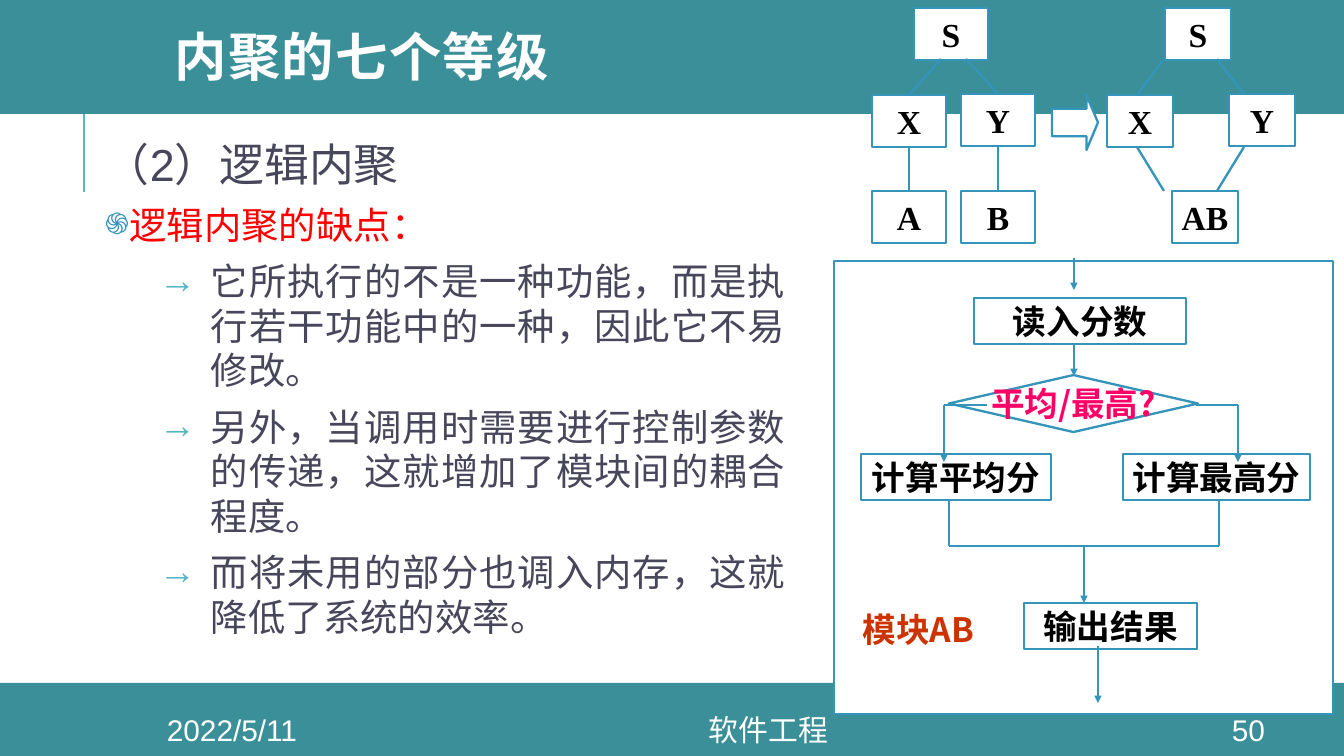
from lxml import etree
from pptx import Presentation
from pptx import util as u
from pptx.dml.color import RGBColor
from pptx.enum import shapes, text
from pptx.oxml.ns import qn

PX = 6804  # EMU per px, 1344 px across the slide
TEAL, BLUE, CYAN, WHITE, INK = "3A8F98", "3494BA", "58B6C0", "FFFFFF", "48465B"
SERIF, SANS, CJK = "Times New Roman", "Arial", "Noto Sans CJK SC"
CENTER, LEFT = text.PP_ALIGN.CENTER, text.PP_ALIGN.LEFT
KIND = shapes.MSO_SHAPE
rgb = RGBColor.from_string


def format_paragraph(paragraph, size, name, color, bold=False, align=CENTER):
    paragraph.alignment = align
    font = paragraph.font
    font.size, font.name, font.bold = u.Pt(size), name, bold
    font.color.rgb = rgb(color)
    if name == CJK:
        properties = paragraph._p.pPr.find(qn("a:defRPr"))
        etree.SubElement(properties, qn("a:ea"), typeface=name)


def add_box(kind, left, top, width, height, fill=WHITE, line=BLUE):
    shape = slide.shapes.add_shape(kind, left * PX, top * PX, width * PX, height * PX)
    shape.shadow.inherit = False
    shape.fill.solid()
    shape.fill.fore_color.rgb = rgb(fill)
    if line:
        shape.line.color.rgb = rgb(line)
        shape.line.width = u.Pt(1.25)
    else:
        shape.line.fill.background()
    return shape


presentation = Presentation()
presentation.slide_width, presentation.slide_height = 1344 * PX, 756 * PX
slide = presentation.slides.add_slide(presentation.slide_layouts[5])

# Header and footer bands, with the title above them
add_box(KIND.RECTANGLE, 0, 683, 1344, 73, TEAL, None)
add_box(KIND.RECTANGLE, 0, -4, 1344, 118, TEAL, None)
title = slide.shapes.title
slide.shapes._spTree.append(title._element)
title.left, title.top, title.width, title.height = 161 * PX, 0, 1141 * PX, 122 * PX
frame = title.text_frame
frame.text = "内聚的七个等级"
frame.auto_size = text.MSO_AUTO_SIZE.NONE
frame.vertical_anchor = text.MSO_ANCHOR.MIDDLE
paragraph = frame.paragraphs[0]
paragraph.line_spacing = 0.8
paragraph.runs[0]._r.get_or_add_rPr().set("spc", "80")
format_paragraph(paragraph, 28, "Montserrat", WHITE, True, LEFT)

# Body: text, size, colour, level, left margin, indent, bullet, bullet colour, bullet size
body = slide.shapes.add_textbox(98 * PX, 130 * PX, 694 * PX, 559 * PX)
frame = body.text_frame
frame.word_wrap = True
frame.margin_left = frame.margin_right = frame.margin_top = frame.margin_bottom = 7 * PX
points = [
    "它所执行的不是一种功能，而是执行若干功能中的一种，因此它不易修改。",
    "另外，当调用时需要进行控制参数的传递，这就增加了模块间的耦合程度。",
    "而将未用的部分也调入内存，这就降低了系统的效率。",
]
rows = [
    ("（2）逻辑内聚", 24, INK, 0, 0, 0, None, None, None),
    ("逻辑内聚的缺点：", 20, "FF0000", 0, 9, -63, "֍", BLUE, 80),
] + [(point, 20, INK, 1, 106, -52, "→", CYAN, 100) for point in points]
for index, (words, size, color, level, margin, indent, bullet, tint, percent) in enumerate(rows):
    paragraph = frame.add_paragraph() if index else frame.paragraphs[0]
    paragraph.text = words
    paragraph.level = level
    if index:
        paragraph.space_before = u.Pt(6)
    if bullet:
        properties = paragraph._p.get_or_add_pPr()
        properties.set("marL", str(margin * PX))
        properties.set("indent", str(indent * PX))
        bullet_color = etree.SubElement(properties, qn("a:buClr"))
        etree.SubElement(bullet_color, qn("a:srgbClr"), val=tint)
        etree.SubElement(properties, qn("a:buSzPct"), val=str(percent * 1000))
        etree.SubElement(properties, qn("a:buFont"), typeface=SANS)
        etree.SubElement(properties, qn("a:buChar"), char=bullet)
    format_paragraph(paragraph, size, SANS, color, align=text.PP_ALIGN.JUSTIFY)

# Footer
for words, left, width in [("2022/5/11", 113, 238), ("软件工程", 351, 835), ("50", 1195, 107)]:
    frame = slide.shapes.add_textbox(left * PX, 714 * PX, width * PX, 31 * PX).text_frame
    frame.word_wrap = True
    frame.vertical_anchor = text.MSO_ANCHOR.MIDDLE
    frame.text = words
    format_paragraph(frame.paragraphs[0], 16, SANS, WHITE)

# Module structure before and after merging A and B
modules = [
    ("X", 872, 95, 74), ("Y", 961, 94, 74), ("S", 914, 8, 74),
    ("A", 872, 191, 74), ("B", 961, 191, 74),
    ("X", 1107, 95, 66), ("Y", 1229, 94, 66), ("S", 1165, 8, 66), ("AB", 1172, 191, 66),
]
for name, left, top, width in modules:
    frame = add_box(KIND.RECTANGLE, left, top, width, 52).text_frame
    frame.margin_left = frame.margin_right = frame.margin_top = frame.margin_bottom = 0
    frame.vertical_anchor = text.MSO_ANCHOR.MIDDLE
    frame.text = name
    format_paragraph(frame.paragraphs[0], 18, SERIF, "000000", True)
arrow = add_box(KIND.RIGHT_ARROW, 1052, 95, 46, 55)
arrow.adjustments[0], arrow.adjustments[1] = 0.5, 0.25

# Flowchart of module AB
add_box(KIND.RECTANGLE, 834, 261, 499, 453)
steps = [
    ("读入分数", KIND.RECTANGLE, 974, 298, 212, 46, "000000"),
    ("计算平均分", KIND.RECTANGLE, 861, 454, 190, 46, "000000"),
    ("输出结果", KIND.RECTANGLE, 1024, 603, 173, 46, "000000"),
    ("计算最高分", KIND.RECTANGLE, 1123, 454, 187, 46, "000000"),
    ("平均/最高?", KIND.DIAMOND, 949, 375, 249, 57, "FF0066"),
]
for words, kind, left, top, width, height, color in steps:
    frame = add_box(kind, left, top, width, height).text_frame
    frame.word_wrap = False
    frame.vertical_anchor = text.MSO_ANCHOR.MIDDLE
    frame.text = words
    format_paragraph(frame.paragraphs[0], 18, CJK, color, True)
frame = slide.shapes.add_textbox(849 * PX, 602 * PX, 139 * PX, 54 * PX).text_frame
frame.word_wrap = True
frame.text = "模块AB"
format_paragraph(frame.paragraphs[0], 18, CJK, "CC3300", True)

# Lines: start, end
plain_lines = [
    (909, 147, 909, 191), (966, 59, 998, 94), (909, 95, 941, 59), (998, 147, 998, 191),
    (1137, 147, 1164, 191), (1217, 59, 1244, 94), (1137, 95, 1164, 59), (1244, 147, 1217, 191),
    (944, 405, 987, 405), (1196, 405, 1238, 405),
    (949, 546, 1219, 546), (949, 500, 949, 546), (1219, 500, 1219, 546),
]
arrow_lines = [
    (1074, 258, 1074, 290), (1074, 344, 1074, 376), (944, 405, 944, 462),
    (1238, 405, 1238, 462), (1098, 646, 1098, 703), (1084, 546, 1084, 603),
]
margin_line = (84, 192, 84, 114)
for ends in [margin_line] + plain_lines + arrow_lines:
    connector = slide.shapes.add_connector(
        shapes.MSO_CONNECTOR.STRAIGHT, *[value * PX for value in ends])
    connector.line.color.rgb = rgb(CYAN if ends == margin_line else BLUE)
    connector.line.width = u.Pt(1.5 if ends == margin_line else 1.25)
    etree.SubElement(connector._element.spPr, qn("a:effectLst"))
    if ends in arrow_lines:
        etree.SubElement(connector.line._get_or_add_ln(), qn("a:tailEnd"),
                         type="triangle", w="sm", len="sm")

presentation.save("out.pptx")
